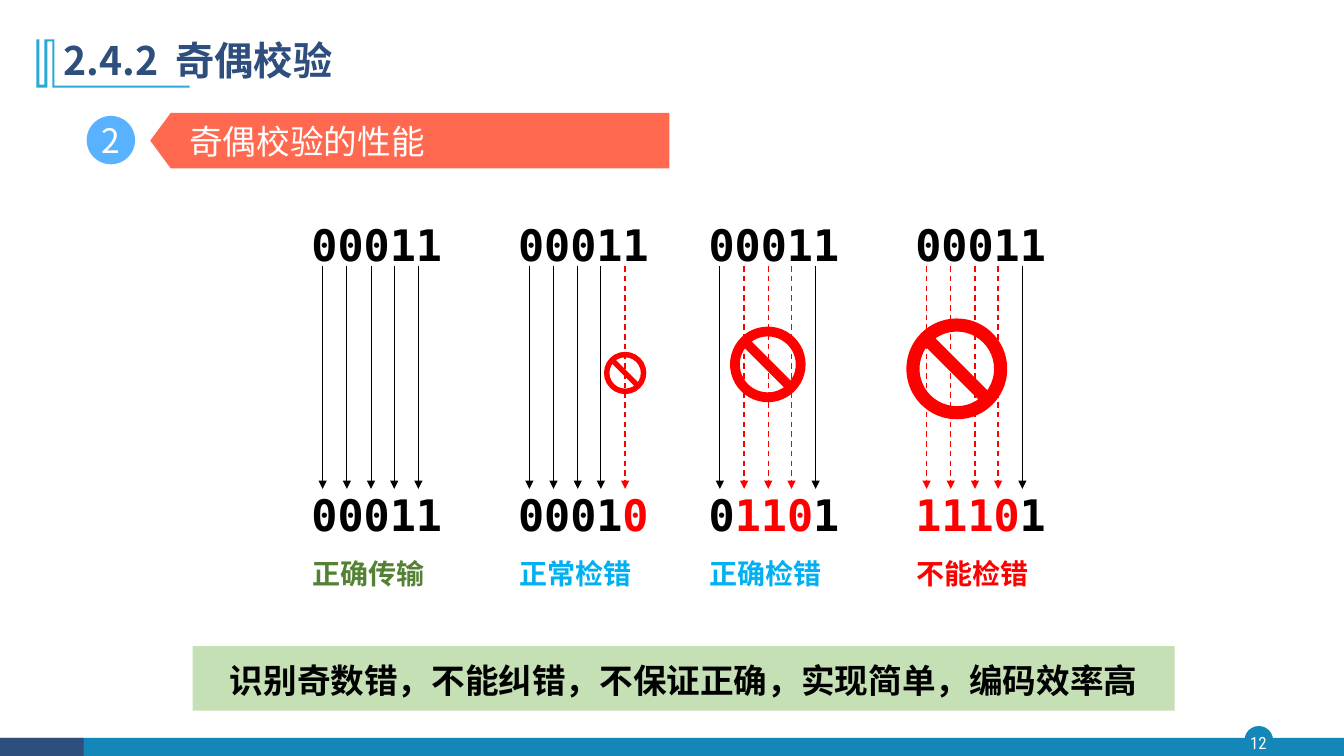
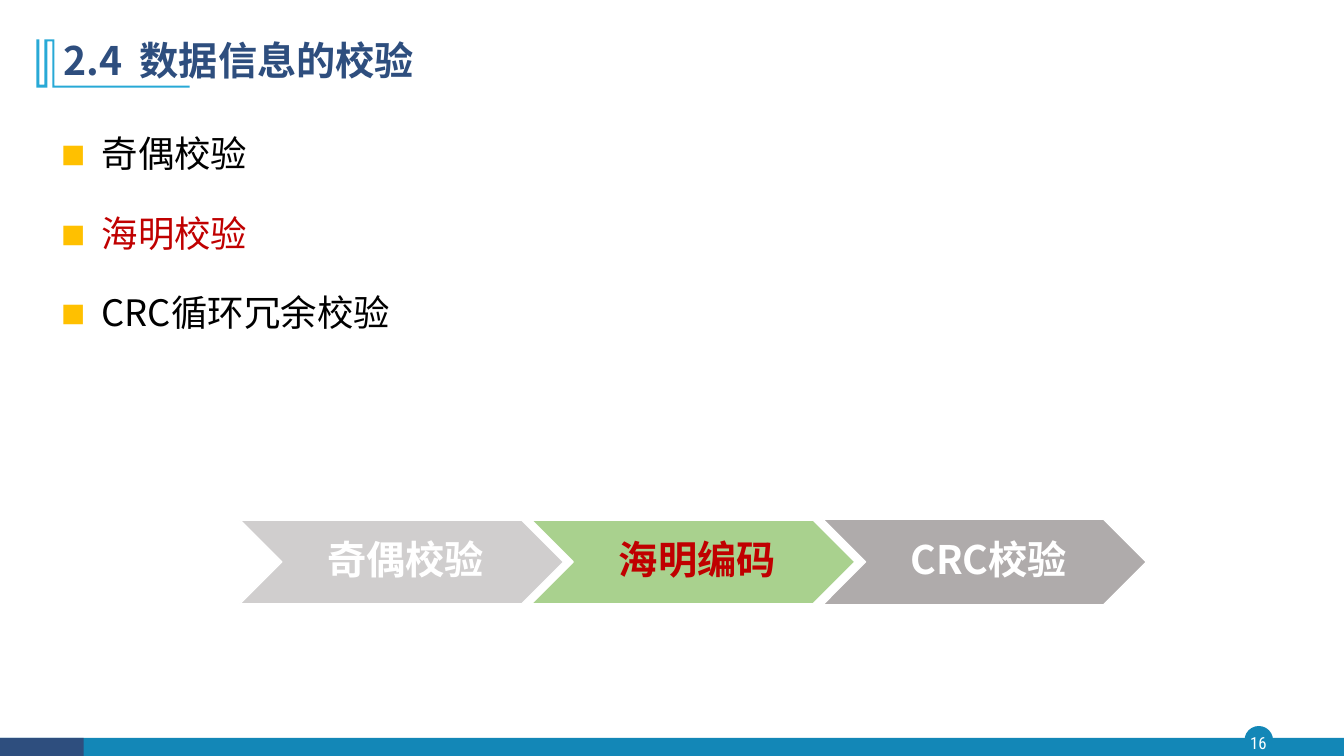
from collections import namedtuple
from dataclasses import dataclass
from itertools import groupby

from lxml.etree import SubElement
from pptx import Presentation
from pptx.dml.color import RGBColor
from pptx.enum.dml import MSO_LINE
from pptx.enum.shapes import MSO_CONNECTOR, MSO_SHAPE
from pptx.enum.text import MSO_ANCHOR, MSO_AUTO_SIZE, PP_ALIGN
from pptx.oxml.ns import qn
from pptx.util import Emu, Pt

PX = 9144
Box = namedtuple("Box", "x y w h")
Case = namedtuple("Case", "x received verdict colour ban")


@dataclass(frozen=True)
class Theme:
    sans: str = "Noto Sans CJK SC"
    mono: str = "DejaVu Sans Mono"
    condensed: str = "Roboto Condensed"
    title_size: int = 28
    digit_size: float = 31
    body_size: int = 26
    heading_size: int = 24
    verdict_size: int = 20
    page_size: int = 12
    white: str = "FFFFFF"
    black: str = "000000"
    navy: str = "2E4E7E"
    teal: str = "1387B7"
    cyan: str = "28A9D6"
    badge: str = "59B2FF"
    coral: str = "FF6950"
    red: str = "FF0000"
    crimson: str = "C00000"
    green: str = "548235"
    sky: str = "00B0F0"
    mint: str = "C5E0B4"
    leaf: str = "A9D18E"
    silver: str = "D0CECE"
    grey: str = "AFABAB"
    amber: str = "FFC000"


THEME = Theme()
SENT = "00011"
CASES = (
    Case(300, "00011", "正确传输", THEME.green, None),
    Case(505, "00010", "正常检错", THEME.sky, Box(94, 349, 42, 42)),
    Case(694, "01101", "正确检错", THEME.sky, Box(30, 324, 75, 75)),
    Case(899, "11101", "不能检错", THEME.red, Box(0, 316, 100, 100)),
)


def px(length):
    return Emu(round(length * PX))


def emu(box):
    return [px(length) for length in box]


def apply(target, values):
    for name, value in values.items():
        setattr(target, name, value)


def style_run(run, size, colour, bold=False, name=THEME.sans):
    apply(run.font, {"size": Pt(size), "bold": bold, "name": name})
    run.font.color.rgb = RGBColor.from_string(colour)
    SubElement(run.font._element, qn("a:ea"), typeface=name)


def add_runs(paragraph, parts, size, **style):
    for text, colour in parts:
        run = paragraph.add_run()
        run.text = text
        style_run(run, size, colour, **style)


def set_frame(frame, margins=(10, 0, 10, 0), anchor=MSO_ANCHOR.MIDDLE):
    left, top, right, bottom = emu(margins)
    apply(frame, {
        "word_wrap": True, "auto_size": MSO_AUTO_SIZE.NONE,
        "vertical_anchor": anchor, "margin_left": left, "margin_top": top,
        "margin_right": right, "margin_bottom": bottom,
    })


def write(holder, parts, size, align=PP_ALIGN.LEFT, spacing=None,
          margins=(10, 0, 10, 0), **style):
    set_frame(holder.text_frame, margins)
    paragraph = holder.text_frame.paragraphs[0]
    apply(paragraph, {"alignment": align, "line_spacing": spacing})
    add_runs(paragraph, parts, size, **style)


def add_text(slide, box, parts, size, **style):
    write(slide.shapes.add_textbox(*emu(box)), parts, size, **style)


def paint(shape, fill, line=None):
    shape.shadow.inherit = False
    shape.fill.solid()
    shape.fill.fore_color.rgb = RGBColor.from_string(fill)
    if line:
        shape.line.color.rgb = RGBColor.from_string(line)
        shape.line.width = Pt(1)
    else:
        shape.line.fill.background()


def add_filled(slide, kind, box, fill, line=None):
    shape = slide.shapes.add_shape(kind, *emu(box))
    paint(shape, fill, line)
    return shape


def add_arrow(slide, x, top, bottom, damaged):
    arrow = slide.shapes.add_connector(
        MSO_CONNECTOR.STRAIGHT, px(x), px(top), px(x), px(bottom))
    colour = THEME.red if damaged else THEME.black
    arrow.line.color.rgb = RGBColor.from_string(colour)
    arrow.line.width = Pt(1 if damaged else 0.75)
    if damaged:
        arrow.line.dash_style = MSO_LINE.DASH
    properties = arrow._element.spPr
    SubElement(properties.find(qn("a:ln")), qn("a:tailEnd"), type="triangle")
    SubElement(properties, qn("a:effectLst"))


def add_footer(slide, box, page):
    add_filled(slide, MSO_SHAPE.OVAL,
               Box(box.x + 1235, box.y - 11, 27, 27), THEME.teal, THEME.teal)
    add_filled(slide, MSO_SHAPE.RECTANGLE, box, THEME.teal)
    add_filled(slide, MSO_SHAPE.RECTANGLE, box._replace(w=83), THEME.navy)
    add_text(slide, Box(box.x + 1232, box.y - 11, 32, 31),
             [(page, THEME.white)], THEME.page_size, align=PP_ALIGN.CENTER,
             margins=(0, 0, 0, 0), name=THEME.condensed)


def add_title_mark(slide, box):
    outline = ((18, 0), (18, 46), (box.w, 46), (box.w, box.h), (16, box.h),
               (16, 2), (11, 2), (11, box.h), (0, box.h), (0, 0), (3, 0),
               (3, 45), (8, 45), (8, 0))
    points = [(px(box.x + x), px(box.y + y)) for x, y in outline]
    builder = slide.shapes.build_freeform(*points[0])
    builder.add_line_segments(points[1:], close=True)
    paint(builder.convert_to_shape(), THEME.cyan)


def add_titled_slide(deck, number, name, page):
    slide = deck.slides.add_slide(deck.slide_layouts[5])
    add_footer(slide, Box(0, 732, 1333, 19), page)
    add_title_mark(slide, Box(36, 39, 152, 48))
    title = slide.shapes.title
    left, top, width, height = emu(Box(53, 28, 1150, 68))
    apply(title, {"left": left, "top": top, "width": width, "height": height})
    write(title, [(part, THEME.navy) for part in (number, " ", name)],
          THEME.title_size, spacing=0.9, margins=(10, 5, 10, 5), bold=True)
    gap = title.text_frame.paragraphs[0].runs[1]
    gap.font._element.set("spc", "600")
    return slide


def add_section_heading(slide, box, number, heading):
    badge = add_filled(slide, MSO_SHAPE.OVAL,
                       Box(box.x, box.y + 3, 48, 48), THEME.badge)
    write(badge, [(number, THEME.white)], THEME.heading_size,
          align=PP_ALIGN.CENTER, margins=(0, 0, 0, 0))
    banner = add_filled(slide, MSO_SHAPE.PENTAGON,
                        Box(box.x + 63, box.y, box.w - 63, box.h), THEME.coral)
    banner.adjustments[0] = 0.37
    banner._element.spPr.find(qn("a:xfrm")).set("flipH", "1")
    add_text(slide, Box(box.x + 92, box.y, box.w - 92, box.h),
             [(heading, THEME.white)], THEME.heading_size)


def add_case(slide, box, case):
    digits = {"size": THEME.digit_size, "name": THEME.mono, "bold": True}
    pairs = list(zip(SENT, case.received))
    received = [
        ("".join(after for _, after in group),
         THEME.red if damaged else THEME.black)
        for damaged, group in groupby(pairs, lambda pair: pair[0] != pair[1])
    ]
    line = Box(box.x - 1, box.y, box.w, 60)
    add_text(slide, line, [(SENT, THEME.black)], **digits)
    add_text(slide, line._replace(y=box.y + 268), received, **digits)
    for index, (before, after) in enumerate(pairs):
        add_arrow(slide, box.x + 20 + round(index * 23.75),
                  box.y + 52, box.y + 273, before != after)
    if case.ban:
        ban = add_filled(slide, MSO_SHAPE.NO_SYMBOL,
                         case.ban._replace(x=box.x + case.ban.x), THEME.red)
        ban.adjustments[0] = 0.13
    add_text(slide, Box(box.x, box.y + 335, 158, 44),
             [(case.verdict, case.colour)], THEME.verdict_size, bold=True)


def add_conclusion(slide, box, text):
    panel = add_filled(slide, MSO_SHAPE.RECTANGLE, box, THEME.mint)
    write(panel, [(text, THEME.black)], THEME.heading_size,
          align=PP_ALIGN.CENTER, margins=(10, 4, 10, 0), bold=True)


def add_topics(slide, box, topics):
    frame = slide.shapes.add_textbox(*emu(box)).text_frame
    set_frame(frame, (10, 5, 10, 5), MSO_ANCHOR.TOP)
    for index, topic in enumerate(topics):
        paragraph = frame.add_paragraph() if index else frame.paragraphs[0]
        properties = paragraph._p.get_or_add_pPr()
        properties.set("marL", str(px(38)))
        properties.set("indent", str(px(-38)))
        tint = SubElement(properties, qn("a:buClr"))
        SubElement(tint, qn("a:srgbClr"), val=THEME.amber)
        SubElement(properties, qn("a:buSzPct"), val="90000")
        SubElement(properties, qn("a:buFont"), typeface=THEME.mono)
        SubElement(properties, qn("a:buChar"), char="■")
        apply(paragraph, {"alignment": PP_ALIGN.JUSTIFY, "line_spacing": 1.5,
                          "space_before": Pt(10 if index else 0)})
        add_runs(paragraph, [topic], THEME.body_size)


def add_progress(slide, box, steps):
    for index, (label, fill, colour, swell) in enumerate(steps):
        step = add_filled(
            slide, MSO_SHAPE.CHEVRON,
            Box(box.x + index * 289, box.y - swell, 321, box.h + 2 * swell),
            fill, THEME.white)
        write(step, [(label, colour)], THEME.title_size,
              align=PP_ALIGN.CENTER, spacing=0.9, margins=(12, 4, 4, 4),
              bold=True)


def build_parity_slide(deck):
    slide = add_titled_slide(deck, "2.4.2", "奇偶校验", "12")
    for case in CASES:
        add_case(slide, Box(case.x, 212, 205, 379), case)
    add_conclusion(slide, Box(191, 641, 974, 64),
                   "识别奇数错，不能纠错，不保证正确，实现简单，编码效率高")
    add_section_heading(slide, Box(86, 112, 578, 55), "2", "奇偶校验的性能")


def build_overview_slide(deck):
    slide = add_titled_slide(deck, "2.4", "数据信息的校验", "16")
    add_topics(slide, Box(53, 104, 1150, 400), (
        ("奇偶校验", THEME.black),
        ("海明校验", THEME.crimson),
        ("CRC循环冗余校验", THEME.black),
    ))
    add_progress(slide, Box(238, 516, 899, 83), (
        ("奇偶校验", THEME.silver, THEME.white, 0),
        ("海明编码", THEME.leaf, THEME.crimson, 0),
        ("CRC校验", THEME.grey, THEME.white, 1),
    ))


def main():
    deck = Presentation()
    apply(deck, {"slide_width": px(1333), "slide_height": px(750)})
    build_parity_slide(deck)
    build_overview_slide(deck)
    deck.save("out.pptx")


if __name__ == "__main__":
    main()
